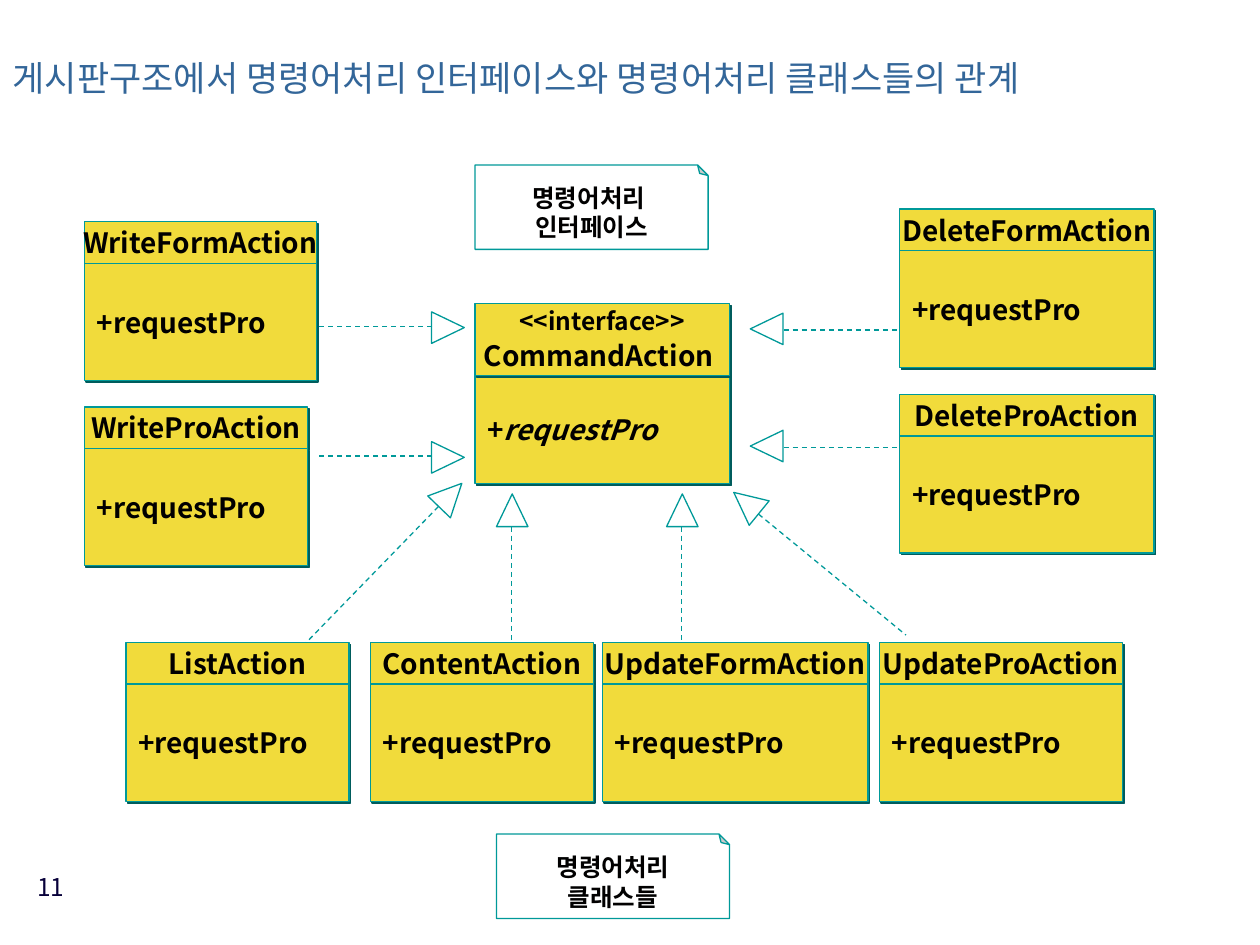
import pptx
import pptx.dml.color
import pptx.enum.dml
import pptx.enum.shapes
import pptx.enum.text
import pptx.oxml
import pptx.oxml.ns
import pptx.util
from pptx.util import Inches

FONT = "Noto Sans CJK KR"
COLORS = {
    "title": "336699",
    "number": "08003A",
    "text": "010000",
    "outline": "009999",
    "shadow": "005C5C",
    "class": "F1DB3B",
    "note": "FFFFFF",
}
ALIGN = pptx.enum.text.PP_ALIGN
SHAPE = pptx.enum.shapes.MSO_SHAPE
MIDDLE = pptx.enum.text.MSO_ANCHOR.MIDDLE

TITLE = "게시판구조에서 명령어처리 인터페이스와 명령어처리 클래스들의 관계"
PAGE_NUMBER = "11"
BOLD = {"size": 16, "bold": True}
NOTE_FORMAT = {"size": 14, "bold": True}

# Each paragraph is a list of (text, format) runs.
INTERFACE_HEADER = [
    [("<<interface>>", NOTE_FORMAT)],
    [("CommandAction", BOLD), (" ", {"size": 18, "bold": False})],
]
INTERFACE_BODY = [[("+", BOLD), ("requestPro", {**BOLD, "italic": True})]]
METHOD = [[("+requestPro", BOLD)]]

# name, left, top, width
CLASSES = [
    ("DeleteFormAction", 7.14, 1.66, 2.02),
    ("ListAction", 1.0, 5.1, 1.77),
    ("ContentAction", 2.94, 5.1, 1.77),
    ("UpdateFormAction", 4.78, 5.1, 2.11),
    ("UpdateProAction", 6.98, 5.1, 1.93),
    ("WriteProAction", 0.67, 3.23, 1.77),
    ("DeleteProAction", 7.14, 3.13, 2.02),
    ("WriteFormAction", 0.67, 1.76, 1.84),
]
HEADER_HEIGHT, BODY_HEIGHT = 0.33, 0.93

# lines, left, top
NOTES = [
    (["명령어처리 ", "인터페이스"], 3.77, 1.31),
    (["명령어처리", "클래스들"], 3.94, 6.62),
]
NOTE_SIZE = (1.85, 0.67)

# triangle left, top, rotation, then line start and end
REALIZATIONS = [
    (3.94, 3.92, 0, (4.06, 4.18), (4.06, 5.1)),
    (5.29, 3.92, 0, (5.41, 4.18), (5.41, 5.1)),
    (3.43, 3.5, 90, (3.43, 3.62), (2.51, 3.62)),
    (3.43, 2.47, 90, (3.43, 2.59), (2.51, 2.59)),
    (5.96, 2.48, 270, (6.22, 2.62), (7.14, 2.62)),
    (5.96, 3.41, 270, (6.22, 3.55), (7.14, 3.55)),
    (3.45, 3.8, 44, (3.48, 4.02), (2.43, 5.1)),
    (5.8, 3.86, 309.2, (6.02, 4.08), (7.19, 5.04)),
]
TRIANGLE_SIZE = (0.25, 0.26)


def rgb(name):
    return pptx.dml.color.RGBColor.from_string(COLORS[name])


def write(shape, paragraphs, align, color="text"):
    frame = shape.text_frame
    for index, runs in enumerate(paragraphs):
        paragraph = frame.add_paragraph() if index else frame.paragraphs[0]
        paragraph.alignment = align
        for text, values in runs:
            run = paragraph.add_run()
            run.text = text
            font_values = {**values, "name": FONT, "size": pptx.util.Pt(values["size"])}
            for attribute, value in font_values.items():
                setattr(run.font, attribute, value)
            run.font.color.rgb = rgb(color)
            east_asian = pptx.oxml.parse_xml(
                f'<a:ea {pptx.oxml.ns.nsdecls("a")} typeface="{FONT}"/>')
            run.font._element.find(pptx.oxml.ns.qn("a:latin")).addnext(east_asian)


def outline(line):
    line.color.rgb = rgb("outline")
    line.width = pptx.util.Pt(0.75)


def add_outlined(slide, kind, box, fill=None):
    shape = slide.shapes.add_shape(kind, *map(Inches, box))
    shape.shadow.inherit = False
    if fill:
        shape.fill.solid()
        shape.fill.fore_color.rgb = rgb(fill)
    else:
        shape.fill.background()
    outline(shape.line)
    return shape


def add_compartment(slide, box, paragraphs, align):
    """Add one part of a class box, with a hard offset shadow."""
    shape = add_outlined(slide, SHAPE.RECTANGLE, box, "class")
    effects = shape._element.spPr.find(pptx.oxml.ns.qn("a:effectLst"))
    effects.append(pptx.oxml.parse_xml(
        f'<a:outerShdw {pptx.oxml.ns.nsdecls("a")} dist="17780" dir="2700000" '
        f'algn="ctr" rotWithShape="0"><a:srgbClr val="{COLORS["shadow"]}"/></a:outerShdw>'))
    shape.text_frame.word_wrap = False
    shape.text_frame.vertical_anchor = MIDDLE
    write(shape, paragraphs, align)


def add_note(slide, lines, left, top):
    """Add a note whose folded corner is flipped to the top right."""
    note = add_outlined(slide, SHAPE.FOLDED_CORNER, (left, top, *NOTE_SIZE), "note")
    geometry = note._element.spPr.find(pptx.oxml.ns.qn("a:prstGeom"))
    for guides in geometry.findall(pptx.oxml.ns.qn("a:avLst")):
        geometry.remove(guides)
    geometry.append(pptx.oxml.parse_xml(
        f'<a:avLst {pptx.oxml.ns.nsdecls("a")}><a:gd name="adj" fmla="val 12500"/></a:avLst>'))
    note._element.spPr.find(pptx.oxml.ns.qn("a:xfrm")).set("flipV", "1")
    body = note._element.txBody.find(pptx.oxml.ns.qn("a:bodyPr"))
    body.set("rot", "10800000")
    note.text_frame.word_wrap = False
    note.text_frame.vertical_anchor = MIDDLE
    write(note, [[(line, NOTE_FORMAT)] for line in lines], ALIGN.CENTER)


def add_realization(slide, left, top, rotation, start, end):
    triangle = add_outlined(slide, SHAPE.ISOSCELES_TRIANGLE, (left, top, *TRIANGLE_SIZE))
    triangle.rotation = rotation
    connector = slide.shapes.add_connector(
        pptx.enum.shapes.MSO_CONNECTOR.STRAIGHT, *map(Inches, start + end))
    outline(connector.line)
    connector.line.dash_style = pptx.enum.dml.MSO_LINE.DASH
    connector._element.spPr.append(
        pptx.oxml.parse_xml(f'<a:effectLst {pptx.oxml.ns.nsdecls("a")}/>'))


def main():
    presentation = pptx.Presentation()
    presentation.slide_width, presentation.slide_height = Inches(10), Inches(7.5)
    slide = presentation.slides.add_slide(presentation.slide_layouts[5])

    title = slide.shapes.title
    title_box = {"left": 0, "top": 0.21, "width": 10.2, "height": 0.9}
    for attribute, value in title_box.items():
        setattr(title, attribute, Inches(value))
    title.text_frame.vertical_anchor = MIDDLE
    write(title, [[(TITLE, {"size": 20})]], ALIGN.LEFT, "title")
    title.text_frame.paragraphs[0].line_spacing = 0.7

    number = slide.shapes.add_textbox(*map(Inches, (0.14, 6.87, 0.47, 0.52)))
    number.text_frame.word_wrap = True
    write(number, [[(PAGE_NUMBER, {"size": 14})]], ALIGN.RIGHT, "number")

    add_compartment(slide, (3.77, 2.98, 2.02, 0.86), INTERFACE_BODY, ALIGN.LEFT)
    add_compartment(slide, (3.77, 2.41, 2.02, 0.57), INTERFACE_HEADER, ALIGN.CENTER)
    for name, left, top, width in CLASSES:
        add_compartment(slide, (left, top, width, HEADER_HEIGHT),
                        [[(name, BOLD)]], ALIGN.CENTER)
        add_compartment(slide, (left, top + HEADER_HEIGHT, width, BODY_HEIGHT),
                        METHOD, ALIGN.LEFT)
    for note in NOTES:
        add_note(slide, *note)
    for realization in REALIZATIONS:
        add_realization(slide, *realization)

    presentation.save("out.pptx")


if __name__ == "__main__":
    main()
